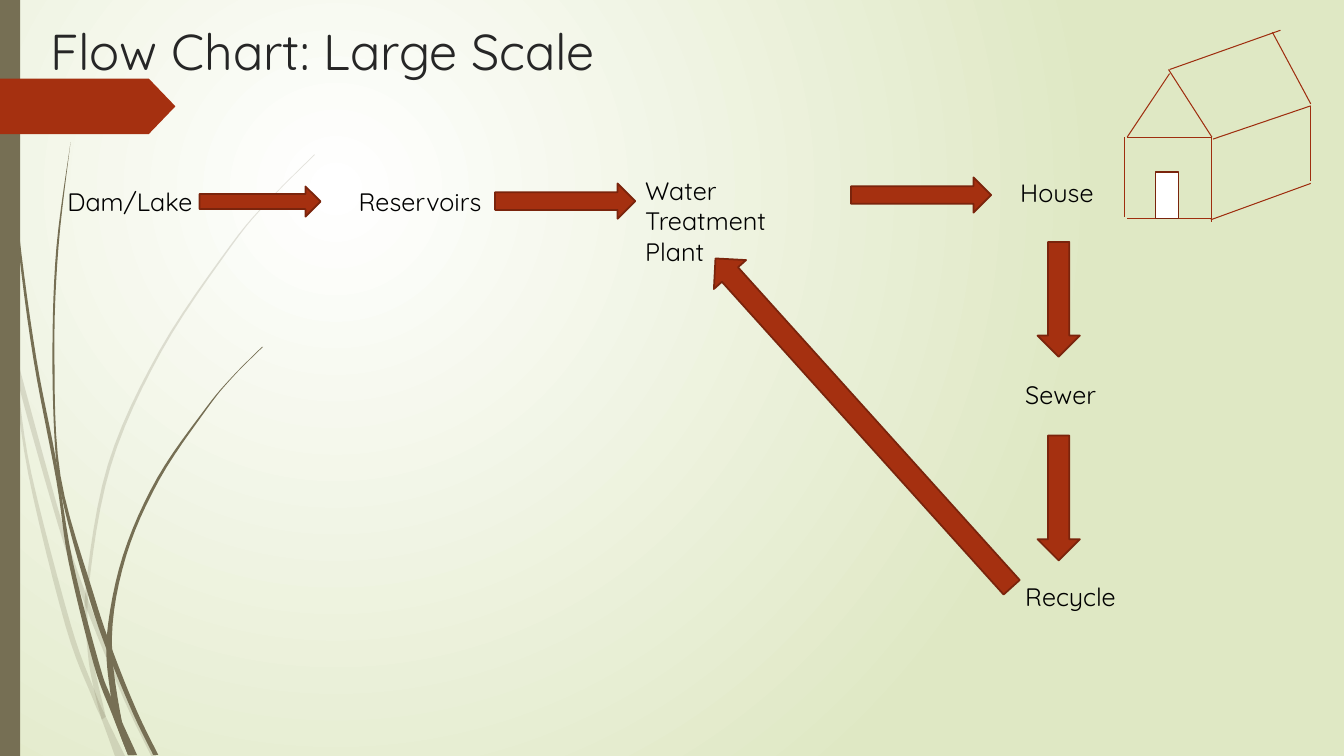
from pptx import Presentation
from pptx.dml.color import RGBColor
from pptx.enum.shapes import MSO_CONNECTOR, MSO_SHAPE
from pptx.enum.text import MSO_ANCHOR, PP_ALIGN
from pptx.oxml.ns import qn
from pptx.util import Inches, Pt
from lxml.etree import SubElement

WHITE = RGBColor(0xFF, 0xFF, 0xFF)
BLACK = RGBColor(0, 0, 0)
TITLE_GREY = RGBColor(0x26, 0x26, 0x26)
PALE_GREEN = RGBColor(0xDF, 0xE8, 0xC4)
OLIVE = RGBColor(0x76, 0x6F, 0x54)
RUST = RGBColor(0xA5, 0x30, 0x10)
DARK_RUST = RGBColor(0x7A, 0x24, 0x0C)
HOUSE_RED = RGBColor(0x9E, 0x2E, 0x0F)
FONT = "Quicksand"

# Each blade of grass: its outer and inner edge, both from tip to root
PALE_BLADES = [
    ([(0, 2.99), (0.11, 3.5), (0.28, 4.7), (0.65, 6.21), (0.92, 6.93), (1.01, 7.14), (1.14, 7.5)],
     [(0, 2.82), (0.09, 3.22), (0.17, 3.76), (0.31, 4.69), (0.7, 6.19), (0.93, 6.83),
      (1.05, 7.11), (1.24, 7.5)]),
    ([(0.14, 3.45), (0.17, 3.76), (0.58, 5.22), (0.84, 5.99), (1.23, 6.94), (1.5, 7.5)],
     [(0.14, 3.45), (0.62, 5.2), (0.92, 6.07), (1.27, 6.92), (1.55, 7.5)]),
    ([(3.12, 1.53), (2.68, 1.97), (2.28, 2.44), (1.58, 3.48), (1.07, 4.61), (0.85, 5.84),
      (0.87, 6.46), (0.93, 6.83), (1.01, 7.14)],
     [(3.12, 1.54), (2.68, 1.98), (2.29, 2.45), (1.6, 3.49), (1.1, 4.62), (0.88, 5.84),
      (0.91, 6.46), (1.05, 7.11)]),
]
DARK_BLADES = [
    ([(0.03, 0), (0.07, 1.1), (0.17, 2.33), (0.33, 3.55), (0.56, 4.77), (0.68, 5.57),
      (0.93, 6.59), (1.11, 7.08), (1.27, 7.49)],
     [(0.04, 0), (0.08, 1.09), (0.19, 2.32), (0.36, 3.55), (0.55, 4.53), (0.72, 5.56),
      (0.98, 6.57), (1.1, 6.91), (1.36, 7.49)]),
    ([(0.7, 1.41), (0.56, 2.45), (0.52, 3.49), (0.55, 4.49), (0.64, 5.05), (0.88, 5.92),
      (1.06, 6.45), (1.32, 7.08), (1.52, 7.49)],
     [(0.7, 1.41), (0.58, 2.45), (0.54, 3.49), (0.6, 4.72), (0.93, 5.9), (1.13, 6.49),
      (1.36, 7.06), (1.57, 7.49)]),
    ([(2.6, 3.44), (2.31, 3.73), (2.04, 4.05), (1.56, 4.74), (1.22, 5.51), (1.06, 6.31),
      (1.1, 6.91), (1.17, 7.22), (1.27, 7.49)],
     [(2.61, 3.44), (2.31, 3.74), (2.05, 4.06), (1.58, 4.76), (1.25, 5.52), (1.11, 6.33),
      (1.21, 7.16), (1.33, 7.49)]),
]
STAGES = [
    ("Dam/Lake", 0.57, 1.8, 1.88, 0.4),
    ("Reservoirs", 3.46, 1.8, 1.73, 0.4),
    ("Water Treatment Plant", 6.3, 1.69, 2.01, 0.71),
    ("House", 10.02, 1.71, 1.49, 0.4),
    ("Sewer", 10.07, 3.71, 1.39, 0.4),
    ("Recycle", 10.07, 5.72, 1.52, 0.4),
]
FLOWS = [
    (MSO_SHAPE.RIGHT_ARROW, 1.98, 1.85, 1.2, 0.3, 0),
    (MSO_SHAPE.RIGHT_ARROW, 4.91, 1.82, 1.39, 0.35, 0),
    (MSO_SHAPE.RIGHT_ARROW, 8.44, 1.76, 1.39, 0.35, 0),
    (MSO_SHAPE.DOWN_ARROW, 10.29, 2.4, 0.42, 1.14, 0),
    (MSO_SHAPE.DOWN_ARROW, 10.29, 4.32, 0.42, 1.24, 0),
    (MSO_SHAPE.RIGHT_ARROW, 6.37, 3.98, 4.39, 0.43, 228),
]
HOUSE_EDGES = [
    (11.15, 1.36, 11.15, 2.15), (11.18, 2.17, 12.02, 2.17), (11.18, 1.36, 12.02, 1.36),
    (11.6, 0.73, 11.18, 1.36), (11.59, 0.69, 12.02, 1.36), (12.02, 1.36, 12.02, 2.2),
    (12.01, 2.18, 13, 1.82), (12.03, 1.38, 13, 1.05), (11.6, 0.69, 12.7, 0.3),
    (12.62, 0.32, 13, 1.03), (13, 1.05, 13, 1.8),
]


def apply(target, formats):
    for name, value in formats.items():
        setattr(target, name, value)


def paint(shape, color, outline=None):
    shape.shadow.inherit = False
    shape.fill.solid()
    shape.fill.fore_color.rgb = color
    if outline is None:
        shape.line.fill.background()
    else:
        shape.line.color.rgb = outline
        shape.line.width = Pt(1.25)


def write(frame, text, size, color):
    apply(frame, {"text": text, "word_wrap": True, "vertical_anchor": MSO_ANCHOR.TOP})
    paragraph = frame.paragraphs[0]
    paragraph.alignment = PP_ALIGN.LEFT
    font = paragraph.runs[0].font
    apply(font, {"name": FONT, "size": Pt(size)})
    font.color.rgb = color


def add_background(slide):
    """White glow in the upper left, fading to pale green."""
    fill = slide.background.fill
    fill.gradient()
    for stop, position, color in zip(fill.gradient_stops, (0, 1), (WHITE, PALE_GREEN)):
        stop.position = position
        stop.color.rgb = color
    linear = next(slide.element.iter(qn("a:lin")))
    gradient = linear.getparent()
    gradient.remove(linear)
    glow = SubElement(gradient, qn("a:path"), {"path": "circle"})
    SubElement(glow, qn("a:fillToRect"), {"l": "50000", "t": "50000", "r": "100000", "b": "100000"})


def smooth(points, steps=6):
    """Points along a Catmull-Rom curve through the given points."""
    padded = [points[0], *points, points[-1]]
    curve = [points[0]]
    for a, b, c, d in zip(padded, padded[1:], padded[2:], padded[3:]):
        for step in range(1, steps + 1):
            t = step / steps
            curve.append(tuple(
                (2 * q + (r - p) * t + (2 * p - 5 * q + 4 * r - s) * t ** 2
                 + (3 * q - p - 3 * r + s) * t ** 3) / 2
                for p, q, r, s in zip(a, b, c, d)))
    return curve


def add_blade(slide, outer, inner, opacity):
    outline = [(Inches(x), Inches(y)) for x, y in smooth(outer) + smooth(inner)[::-1]]
    builder = slide.shapes.build_freeform(*outline[0])
    builder.add_line_segments(outline[1:], close=True)
    blade = builder.convert_to_shape()
    paint(blade, OLIVE)
    if opacity < 100:
        color = next(blade.element.spPr.iter(qn("a:srgbClr")))
        SubElement(color, qn("a:alpha"), {"val": str(opacity * 1000)})


def add_block(slide, kind, box, color, outline=None):
    block = slide.shapes.add_shape(kind, *map(Inches, box))
    paint(block, color, outline)
    return block


def add_stage(slide, name, *box):
    label = slide.shapes.add_textbox(*map(Inches, box))
    write(label.text_frame, name, 18, BLACK)


def add_house_edge(slide, *ends):
    edge = slide.shapes.add_connector(MSO_CONNECTOR.STRAIGHT, *map(Inches, ends))
    edge.line.color.rgb = HOUSE_RED
    edge.line.width = Pt(0.75)
    SubElement(edge.element.spPr, qn("a:effectLst"))


def main():
    deck = Presentation()
    apply(deck, {"slide_width": Inches(13.33), "slide_height": Inches(7.5)})
    slide = deck.slides.add_slide(deck.slide_layouts[5])
    add_background(slide)

    for blades, opacity in ((PALE_BLADES, 20), (DARK_BLADES, 100)):
        for outer, inner in blades:
            add_blade(slide, outer, inner, opacity)
    add_block(slide, MSO_SHAPE.RECTANGLE, (0, 0, 0.2, 7.5), OLIVE)
    banner = add_block(slide, MSO_SHAPE.PENTAGON, (0, 0.78, 1.74, 0.55), RUST)
    banner.adjustments[0] = 0.48

    title = slide.shapes.title
    apply(title, {"left": Inches(0.4), "top": Inches(0.15),
                  "width": Inches(6.48), "height": Inches(1.39)})
    write(title.text_frame, "Flow Chart: Large Scale", 36, TITLE_GREY)

    for stage in STAGES:
        add_stage(slide, *stage)
    for kind, *box, rotation in FLOWS:
        add_block(slide, kind, box, RUST, DARK_RUST).rotation = rotation
    for ends in HOUSE_EDGES:
        add_house_edge(slide, *ends)
    add_block(slide, MSO_SHAPE.RECTANGLE, (11.46, 1.71, 0.23, 0.46), WHITE, DARK_RUST)
    deck.save("out.pptx")


if __name__ == "__main__":
    main()
